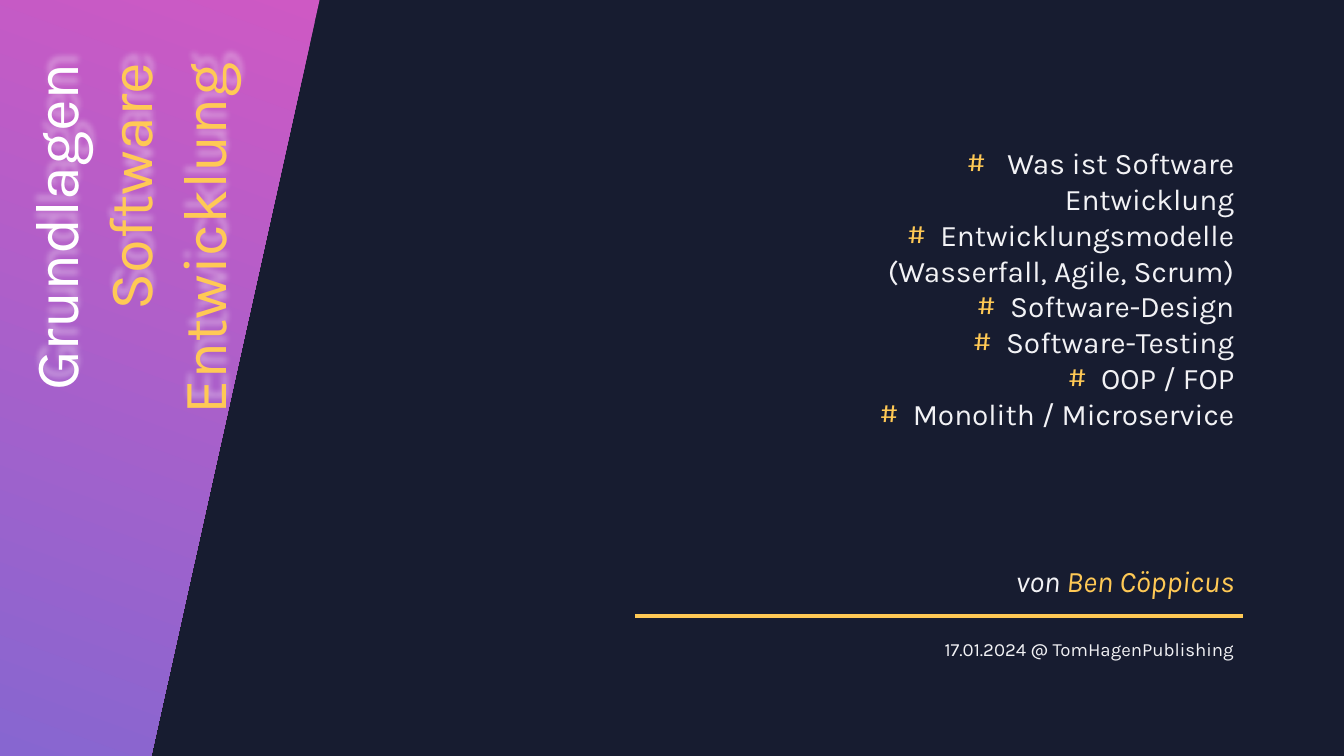
import pptx
import pptx.util
import pptx.dml.color
import pptx.enum.shapes
import pptx.enum.text
import pptx.oxml
import pptx.oxml.ns
from lxml import etree

W, H = 13.33, 7.5
NIGHT, PINK, VIOLET = "171C30", "CE59C4", "8766D0"
GOLD, WHITE, PALE = "FFC955", "FFFFFF", "F2F2F5"
RIGHT = 12.34
TOPICS = [
    " Was ist Software Entwicklung",
    "Entwicklungsmodelle (Wasserfall, Agile, Scrum)",
    "Software-Design",
    "Software-Testing",
    "OOP / FOP",
    "Monolith / Microservice",
]
inch = pptx.util.Inches
qn = pptx.oxml.ns.qn


def rgb(value):
    """Turn a hex string into a colour."""
    return pptx.dml.color.RGBColor.from_string(value)


def place(sp, x, y, w, h):
    """Put a shape into a box given in inches."""
    sp.left, sp.top, sp.width, sp.height = map(inch, (x, y, w, h))


def write(sp, paragraphs, size, italic=None):
    """Fill a shape with right-aligned paragraphs of (text, colour) runs."""
    tf = sp.text_frame
    tf.word_wrap = True
    tf.auto_size = pptx.enum.text.MSO_AUTO_SIZE.SHAPE_TO_FIT_TEXT
    tf.vertical_anchor = pptx.enum.text.MSO_ANCHOR.TOP
    for i, runs in enumerate(paragraphs):
        p = tf.add_paragraph() if i else tf.paragraphs[0]
        p.alignment = pptx.enum.text.PP_ALIGN.RIGHT
        p.space_before = pptx.util.Pt(0)
        for text, colour in runs:
            r = p.add_run()
            r.text = text
            r.font.name = "Karla"
            r.font.size = pptx.util.Pt(size)
            r.font.italic = italic
            r.font.color.rgb = rgb(colour)


def add_text(s, box, paragraphs, size, italic=None):
    """Add a text box and return it."""
    sp = s.shapes.add_textbox(*map(inch, box))
    write(sp, paragraphs, size, italic)
    return sp


def add_bullet(p, char, colour, indent):
    """Give a paragraph a coloured bullet character."""
    pPr = p._p.get_or_add_pPr()
    pPr.set("marL", str(inch(indent)))
    pPr.set("indent", str(-inch(indent)))
    clr = etree.SubElement(pPr, qn("a:buClr"))
    etree.SubElement(clr, qn("a:srgbClr"), val=colour)
    etree.SubElement(pPr, qn("a:buFont"), typeface="Karla")
    etree.SubElement(pPr, qn("a:buChar"), char=char)


def add_glow(sp, colour):
    """Cast a soft light shadow upwards from a shape's text."""
    effects = etree.SubElement(sp.element.spPr, qn("a:effectLst"))
    shadow = etree.SubElement(
        effects, qn("a:outerShdw"), blurRad=str(inch(0.06)), dist=str(inch(0.11)),
        dir="16200000", algn="b", rotWithShape="0")
    clr = etree.SubElement(shadow, qn("a:srgbClr"), val=colour)
    etree.SubElement(clr, qn("a:alpha"), val="40000")


def title_band(s, x, y, w, h):
    """Draw the slanted gradient band with the upright title."""
    fb = s.shapes.build_freeform(inch(x), inch(y))
    corners = [(x + w, y), (x + 1.5, y + h), (x, y + h)]
    fb.add_line_segments([(inch(a), inch(b)) for a, b in corners], close=True)
    band = fb.convert_to_shape()
    band.shadow.inherit = False
    band.line.fill.background()
    band.fill.gradient()
    band.fill.gradient_angle = 250
    for stop, colour, position in zip(band.fill.gradient_stops, (PINK, VIOLET), (0, 1)):
        stop.color.rgb = rgb(colour)
        stop.position = position

    title = s.shapes.title
    place(title, x - 1.55, y + 2.19, 5.65, 2.32)
    title.rotation = 270
    write(title, [[("Grundlagen ", WHITE), ("Software Entwicklung", GOLD)]], 44)
    add_glow(title, WHITE)
    band.element.addnext(title.element)


def topic_list(s, x, y, w, h):
    """Add the bulleted list of topics."""
    sp = add_text(s, (x, y, w, h), [[(topic, PALE)] for topic in TOPICS], 21.3)
    for p in sp.text_frame.paragraphs:
        add_bullet(p, "#", GOLD, 0.33)


def byline(s, x, y, w, h):
    """Add the author above a rule and the date below it."""
    rule_y = y + 0.58
    rule = s.shapes.add_connector(
        pptx.enum.shapes.MSO_CONNECTOR.STRAIGHT,
        *map(inch, (x, rule_y, x + w, rule_y)))
    rule.line.color.rgb = rgb(GOLD)
    rule.line.width = pptx.util.Pt(3)
    etree.SubElement(rule.element.spPr, qn("a:effectLst"))
    add_text(s, (RIGHT - 4.44, y, 4.44, 0.46),
             [[("von ", PALE), ("Ben Cöppicus", GOLD)]], 21.3, italic=True)
    add_text(s, (RIGHT - 5.06, y + h - 0.33, 5.06, 0.33),
             [[("17.01.2024 @ TomHagenPublishing", PALE)]], 13.3)


def main():
    """Build the slide and save it."""
    prs = pptx.Presentation()
    prs.slide_width, prs.slide_height = inch(W), inch(H)
    s = prs.slides.add_slide(prs.slide_layouts[5])
    s.background.fill.solid()
    s.background.fill.fore_color.rgb = rgb(NIGHT)
    title_band(s, 0, 0, 3.17, H)
    topic_list(s, RIGHT - 4.17, 1.39, 4.17, 2.97)
    byline(s, 6.3, 5.53, 6.03, 1.08)
    prs.save("out.pptx")


if __name__ == "__main__":
    main()
